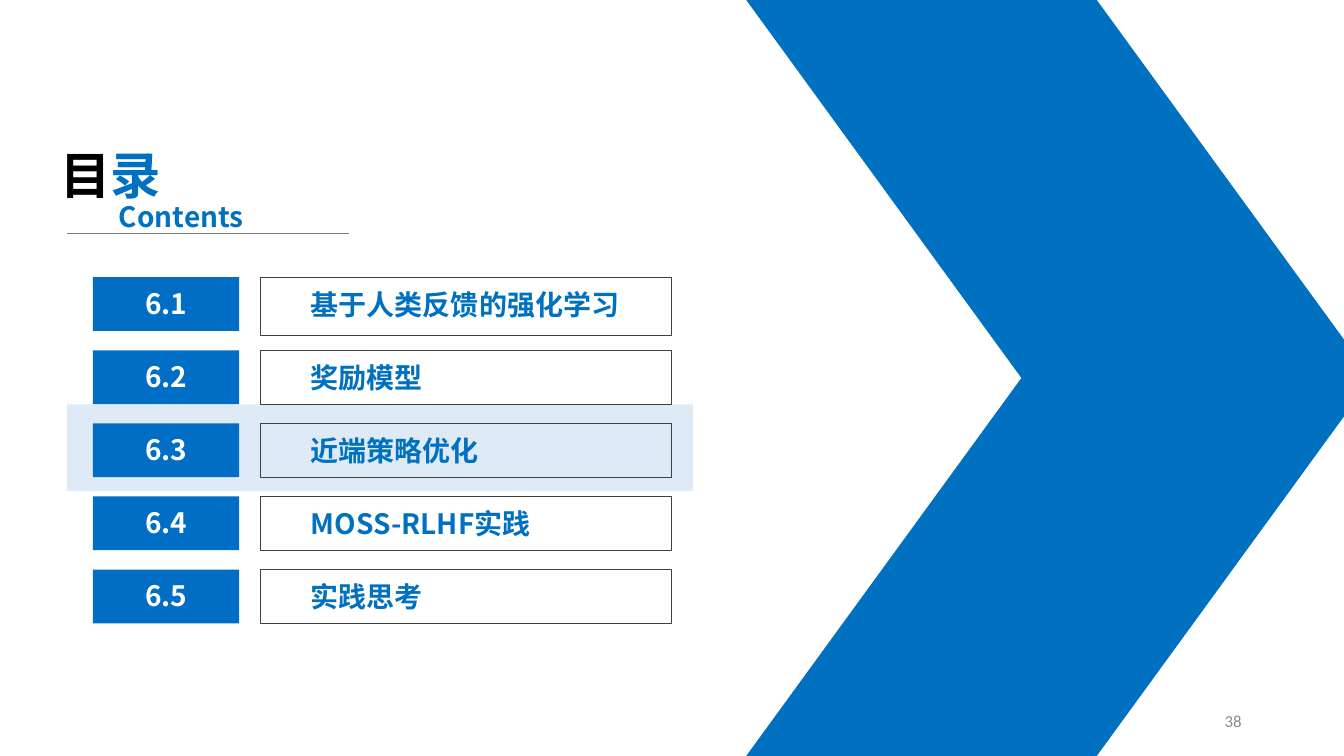
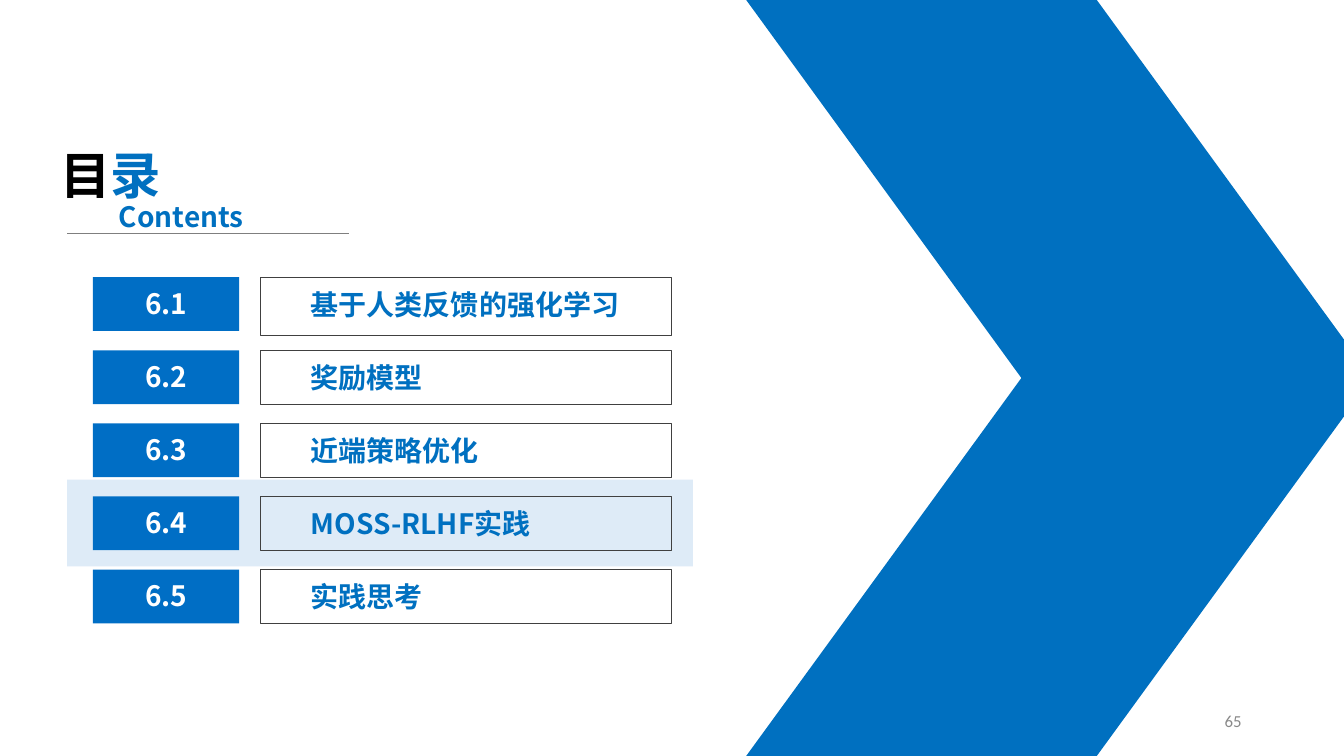
from lxml import etree
from pptx import Presentation
from pptx.dml.color import RGBColor
from pptx.enum.shapes import MSO_CONNECTOR, MSO_SHAPE
from pptx.enum.text import MSO_ANCHOR, PP_ALIGN
from pptx.oxml.ns import qn
from pptx.util import Pt

RECT, SLANT = MSO_SHAPE.RECTANGLE, MSO_SHAPE.PARALLELOGRAM
STRAIGHT = MSO_CONNECTOR.STRAIGHT
TOP, MIDDLE = MSO_ANCHOR.TOP, MSO_ANCHOR.MIDDLE
LEFT, CENTER, RIGHT = PP_ALIGN.LEFT, PP_ALIGN.CENTER, PP_ALIGN.RIGHT

BLUE = RGBColor(0x00, 0x70, 0xC0)
DEEP = RGBColor(0x00, 0x6E, 0xC5)
PALE = RGBColor(0xDE, 0xEB, 0xF7)
BLACK = RGBColor(0x00, 0x00, 0x00)
WHITE = RGBColor(0xFF, 0xFF, 0xFF)
DARK = RGBColor(0x40, 0x40, 0x40)
GRAY = RGBColor(0x7F, 0x7F, 0x7F)
SILVER = RGBColor(0x89, 0x89, 0x89)

HEAD = "Noto Sans CJK SC"
BODY = "Calibri"

WIDTH, HEIGHT = 960, 540
ROW_TOP, ROW_STEP, ROW_HIGH = 198, 52.2, 38.4

TOPICS = [
    ("6.1", "基于人类反馈的强化学习"),
    ("6.2", "奖励模型"),
    ("6.3", "近端策略优化"),
    ("6.4", "MOSS-RLHF实践"),
    ("6.5", "实践思考"),
]


def write(frame, *parts, size=20, font=HEAD, bold=True, align=LEFT,
          anchor=TOP, inset=(7.2, 3.6)):
    """Fill a text frame with one paragraph of (text, colour) parts."""
    frame.word_wrap = True
    frame.vertical_anchor = anchor
    frame.margin_left, frame.margin_top = (Pt(gap) for gap in inset)
    para = frame.paragraphs[0]
    para.alignment = align
    for text, color in parts:
        run = para.add_run()
        run.text = text
        run.font.size = Pt(size)
        run.font.bold = bold
        run.font.name = font
        run.font.color.rgb = color
        east = etree.SubElement(run.font._element, qn("a:ea"))
        east.set("typeface", font)


class Deck:
    def __init__(self):
        self.show = Presentation()
        self.show.slide_width = Pt(WIDTH)
        self.show.slide_height = Pt(HEIGHT)
        self.slide = None

    def start(self):
        self.slide = self.show.slides.add_slide(self.show.slide_layouts[6])

    def shape(self, x, y, w, h, kind=RECT, fill=None, line=None):
        item = self.slide.shapes.add_shape(kind, Pt(x), Pt(y), Pt(w), Pt(h))
        item.shadow.inherit = False
        if fill is None:
            item.fill.background()
        else:
            item.fill.solid()
            item.fill.fore_color.rgb = fill
        if line is None:
            item.line.fill.background()
        else:
            item.line.color.rgb = line
            item.line.width = Pt(0.75)
        return item

    def text(self, x, y, w, h, *parts, **style):
        box = self.slide.shapes.add_textbox(Pt(x), Pt(y), Pt(w), Pt(h))
        write(box.text_frame, *parts, **style)

    def rule(self, x, y, w):
        line = self.slide.shapes.add_connector(
            STRAIGHT, Pt(x), Pt(y), Pt(x + w), Pt(y))
        line.line.color.rgb = GRAY
        line.line.width = Pt(0.5)
        etree.SubElement(line._element.spPr, qn("a:effectLst"))

    def arrow(self):
        """Draw the large chevron as two mirrored halves."""
        half = HEIGHT / 2
        for y in (half, 0):
            wing = self.shape(533, y, 447, half, SLANT, fill=BLUE)
            wing.adjustments[0] = 0.728
        wing._element.spPr.find(qn("a:xfrm")).set("flipV", "1")

    def title(self):
        self.text(36, 99.4, 113, 51, ("目", BLACK), ("录", BLUE), size=36)
        self.rule(48, 166.5, 201)
        self.text(77.8, 139, 113, 31.5, ("Contents", BLUE))

    def topic(self, row, number, name):
        y = ROW_TOP + row * ROW_STEP
        high = ROW_HIGH if row else 42
        label = self.shape(186, y, 294, high, line=DARK)
        write(label.text_frame, (name, BLUE), inset=(36, 7.2))
        badge = self.shape(66.4, y, 104.5, ROW_HIGH, fill=DEEP)
        write(badge.text_frame, (number, WHITE), align=CENTER,
              inset=(7.2, 6.5))

    def contents(self, page, band):
        """Add the contents slide with its highlight band at height band."""
        self.start()
        self.shape(48, band, 447, 62).width = Pt(447)
        mark = self.slide.shapes[0]
        mark.fill.solid()
        mark.fill.fore_color.rgb = PALE
        self.arrow()
        self.title()
        for row, (number, name) in enumerate(TOPICS):
            self.topic(row, number, name)
        self.text(678, 500.5, 216, 28.8, (page, SILVER), size=12, font=BODY,
                  bold=False, align=RIGHT, anchor=MIDDLE)


def main():
    deck = Deck()
    deck.contents("38", 288.8)
    deck.contents("65", 342.5)
    deck.show.save("out.pptx")


if __name__ == "__main__":
    main()
